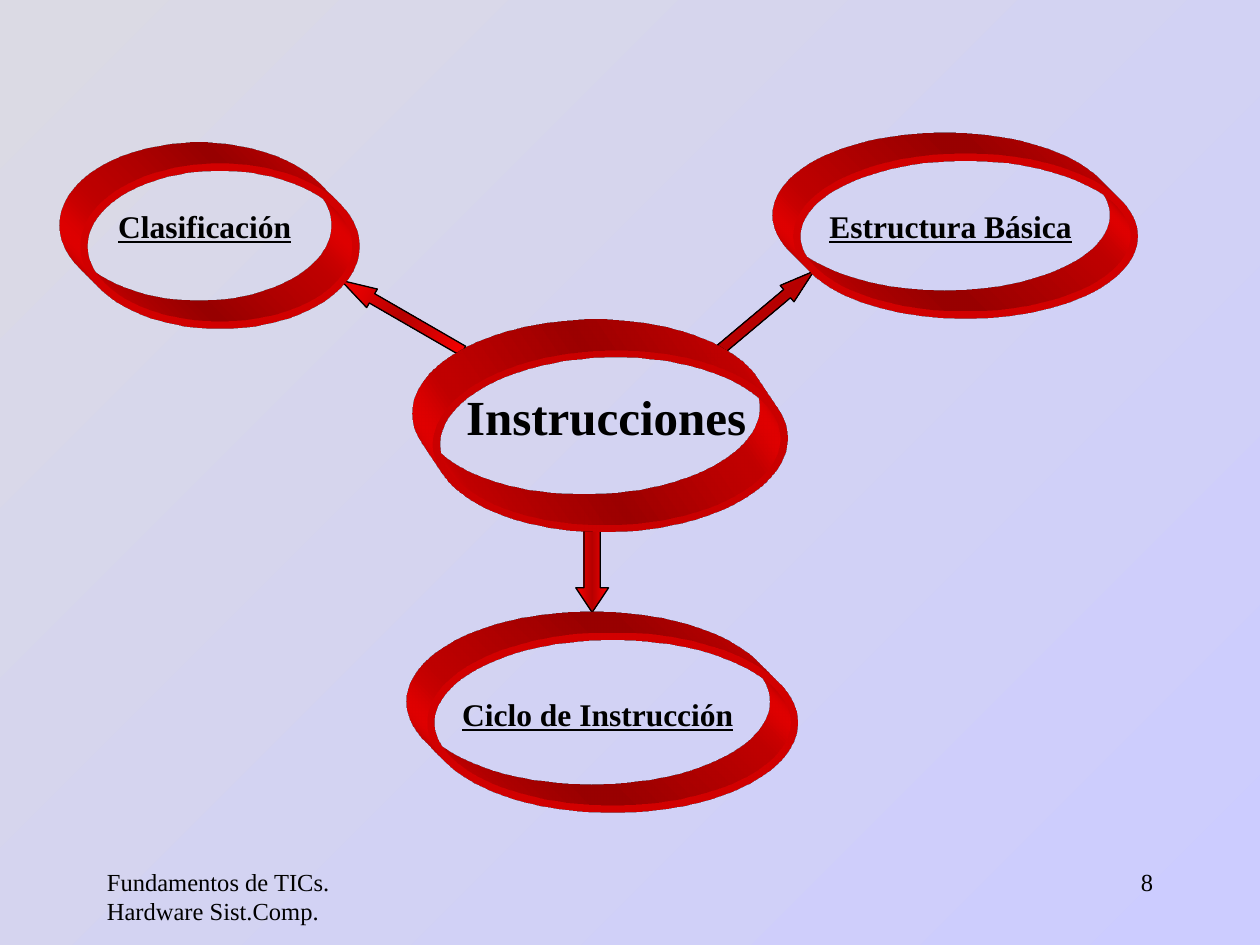
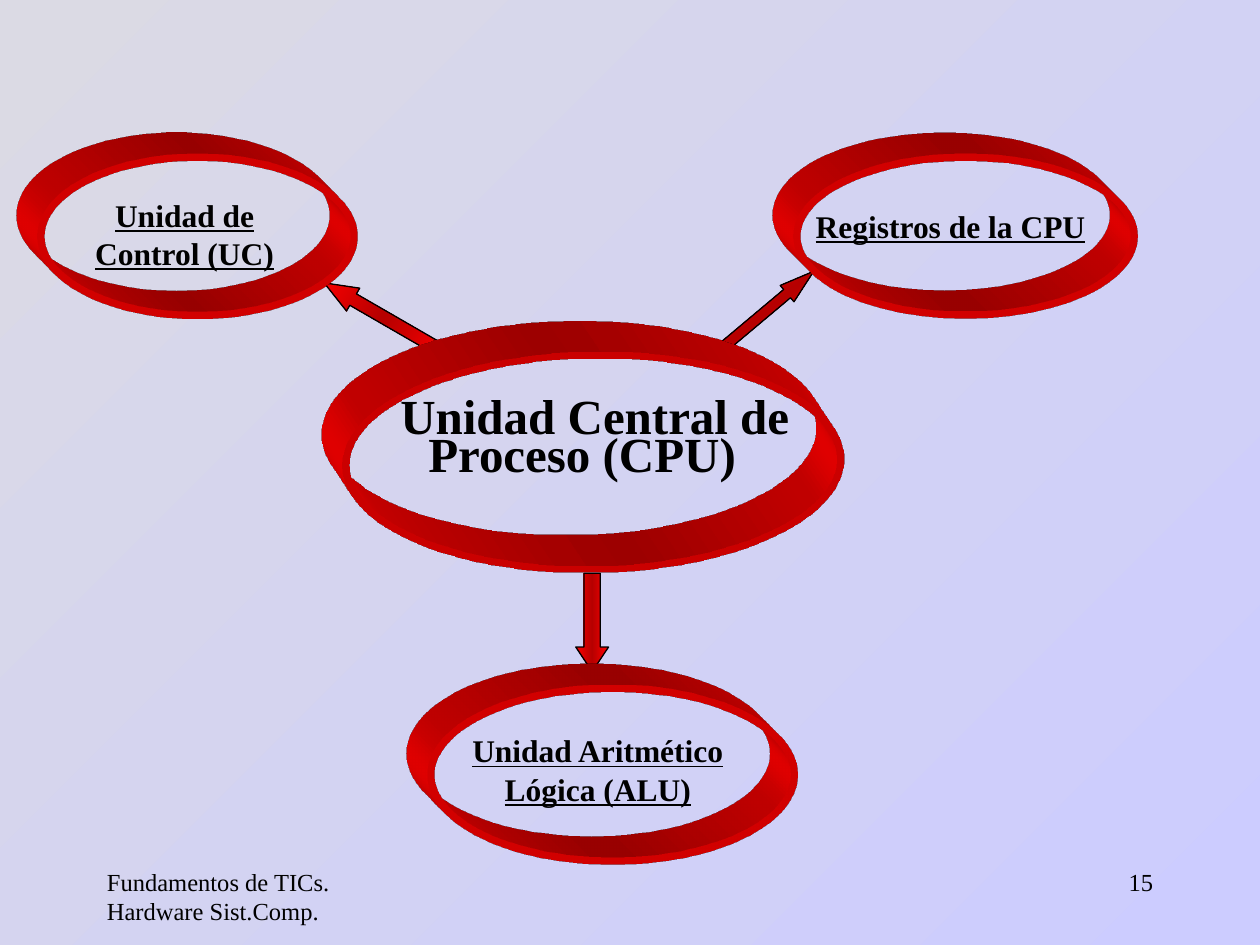
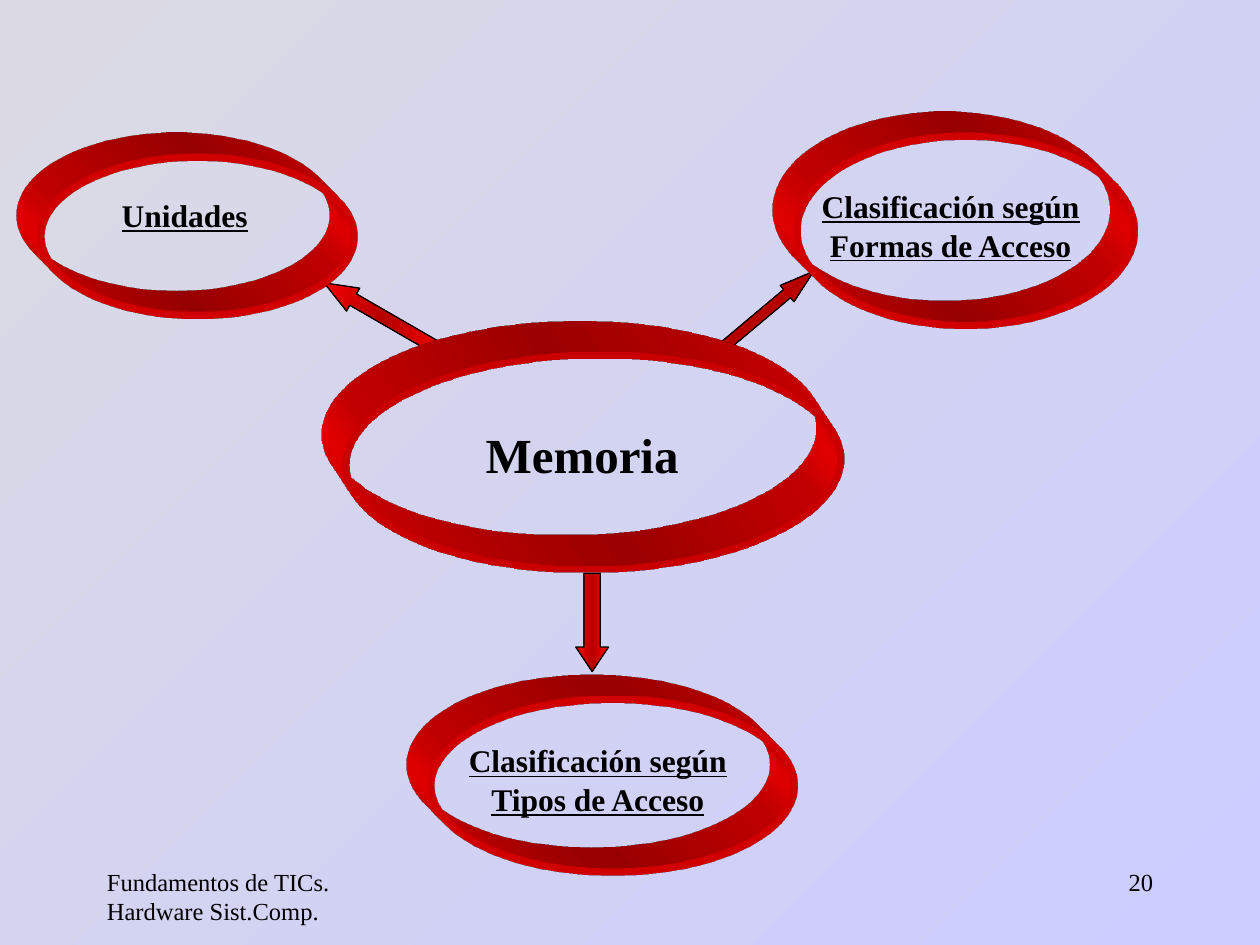
from copy import deepcopy
from dataclasses import dataclass

from lxml.etree import SubElement
from pptx import Presentation
from pptx.dml.color import RGBColor
from pptx.enum.shapes import MSO_SHAPE as Preset
from pptx.enum.text import PP_ALIGN as Align
from pptx.oxml.ns import qn
from pptx.util import Inches, Pt


@dataclass(frozen=True)
class Theme:
    font: str = "Times New Roman"
    ink: RGBColor = RGBColor(0, 0, 0)
    red: RGBColor = RGBColor(0xFF, 0, 0)
    dark_red: RGBColor = RGBColor(0xB6, 0, 0)
    sky_start: RGBColor = RGBColor(0xDB, 0xDA, 0xE4)
    sky_end: RGBColor = RGBColor(0xCC, 0xCC, 0xFF)
    footer_size: int = 14
    label_size: int = 18
    hub_size: int = 28
    leading: int = 22
    ring_line: float = 4.25
    arrow_line: float = 0.75


@dataclass(frozen=True)
class Area:
    left: float
    top: float
    width: float
    height: float

    def lengths(self) -> list:
        return [Inches(side) for side in (self.left, self.top, self.width, self.height)]


@dataclass(frozen=True)
class Ring:
    text: str
    oval: Area
    label: Area
    hub: bool = False
    indent: float = 0


@dataclass(frozen=True)
class Arrow:
    preset: Preset
    area: Area
    head: float
    angle: int = 0


@dataclass(frozen=True)
class Diagram:
    number: int
    arrows: list[Arrow]
    rings: list[Ring]


THEME = Theme()
FOOTER = "Fundamentos de TICs. Hardware Sist.Comp."
FOOTER_AREA = Area(0.75, 6.83, 2.08, 0.5)
NUMBER_AREA = Area(7.17, 6.83, 2.08, 0.5)
RING_DEPTH = 430200
HUB_TILT = 600000

LEFT_OVAL = Area(0.33, 1.25, 2.48, 1.25)
RIGHT_OVAL = Area(6.33, 1.25, 2.67, 1.25)
RIGHT_LABEL = Area(6.33, 1.59, 2.43, 0.41)
HUB_OVAL = Area(2.75, 2.75, 3.92, 1.84)

RIGHT_ARROW = Arrow(Preset.UP_ARROW, Area(5.96, 1.96, 0.17, 1.08), 1.625, 50)
LEFT_ARROW = Arrow(Preset.LEFT_ARROW, Area(2.5, 2.41, 1.08, 0.21), 1.268, 30)
SHORT_LEFT_ARROW = Arrow(Preset.LEFT_ARROW, Area(2.63, 2.42, 1.12, 0.17), 1.682, 30)


def down_arrow(top: float) -> Arrow:
    return Arrow(Preset.DOWN_ARROW, Area(4.57, top, 0.26, 0.78), 0.747)


def bottom_ring(text: str, top: float, label_top: float, label_height: float) -> Ring:
    return Ring(text, Area(3.42, top, 2.88, 1.37), Area(3.33, label_top, 2.83, label_height))


DIAGRAMS = [
    Diagram(8, [down_arrow(4.08), SHORT_LEFT_ARROW, RIGHT_ARROW], [
        bottom_ring("Ciclo de Instrucción", 5.05, 5.46, 0.41),
        Ring("Clasificación", Area(0.67, 1.33, 2.15, 1.25), Area(0.58, 1.59, 2.09, 0.41)),
        Ring("Estructura Básica", RIGHT_OVAL, RIGHT_LABEL),
        Ring("Instrucciones", Area(3.47, 2.75, 2.75, 1.5),
             Area(3.17, 3.18, 3.08, 0.41), hub=True, indent=0.2),
    ]),
    Diagram(15, [down_arrow(4.55), LEFT_ARROW, RIGHT_ARROW], [
        bottom_ring("Unidad Aritmético Lógica (ALU)", 5.46, 5.75, 0.71),
        Ring("Unidad de Control (UC)", LEFT_OVAL, Area(0.42, 1.5, 2.09, 0.71)),
        Ring("Registros de la CPU", RIGHT_OVAL, RIGHT_LABEL),
        Ring("Unidad Central de Proceso (CPU)", HUB_OVAL,
             Area(2.83, 3.17, 3.58, 0.71), hub=True, indent=0.2),
    ]),
    Diagram(20, [down_arrow(4.55), LEFT_ARROW, RIGHT_ARROW], [
        bottom_ring("Clasificación según Tipos de Acceso", 5.55, 5.83, 0.71),
        Ring("Unidades", LEFT_OVAL, Area(0.42, 1.5, 2.09, 0.41)),
        Ring("Clasificación según Formas de Acceso",
             Area(6.33, 1.08, 2.67, 1.5), Area(6.33, 1.43, 2.43, 0.71)),
        Ring("Memoria", HUB_OVAL, Area(2.83, 3.48, 3.58, 0.41), hub=True),
    ]),
]


def add_text(shapes, area: Area, text: str, *, size: int, align: Align = Align.LEFT,
             bold: bool = False, underline: bool = False,
             leading: int | None = None, indent: float = 0) -> None:
    frame = shapes.add_textbox(*area.lengths()).text_frame
    frame.word_wrap = True
    para = frame.paragraphs[0]
    para.alignment = align
    if leading:
        para.line_spacing = Pt(leading)
    if indent:
        para._p.get_or_add_pPr().set("indent", str(Inches(indent)))
    span = para.add_run()
    span.text = text
    span.font.name = THEME.font
    span.font.size = Pt(size)
    span.font.bold = bold
    span.font.underline = underline
    span.font.color.rgb = THEME.ink


def paint_gradient(fill, colours: list[RGBColor], angle: int) -> None:
    fill.gradient()
    fill.gradient_angle = angle
    for index, (stop, colour) in enumerate(zip(fill.gradient_stops, colours)):
        stop.position = index / (len(colours) - 1)
        stop.color.rgb = colour


def add_arrow(shapes, arrow: Arrow) -> None:
    shape = shapes.add_shape(arrow.preset, *arrow.area.lengths())
    shape.adjustments[0] = 0.5
    shape.adjustments[1] = arrow.head
    shape.rotation = arrow.angle
    shape.shadow.inherit = False
    paint_gradient(shape.fill, [THEME.red, THEME.dark_red], 0)
    stops = shape._element.spPr.find(qn("a:gradFill")).find(qn("a:gsLst"))
    stops.append(deepcopy(stops[0]))
    for stop, position in zip(shape.fill.gradient_stops, (0, 0.5, 1)):
        stop.position = position
    shape.line.color.rgb = THEME.ink
    shape.line.width = Pt(THEME.arrow_line)


def extrude(shape, tilt: int) -> None:
    properties = shape._element.spPr
    scene = SubElement(properties, qn("a:scene3d"))
    camera = SubElement(scene, qn("a:camera"), prst="legacyObliqueTopLeft")
    SubElement(camera, qn("a:rot"), lat=str(tilt), lon="0", rev="0")
    SubElement(scene, qn("a:lightRig"), rig="legacyFlat3", dir="b")
    solid = SubElement(properties, qn("a:sp3d"),
                       extrusionH=str(RING_DEPTH), prstMaterial="legacyMatte")
    colour = SubElement(solid, qn("a:extrusionClr"))
    SubElement(colour, qn("a:srgbClr"), val=str(THEME.red))


def add_ring(shapes, ring: Ring) -> None:
    group = shapes.add_group_shape()
    oval = group.shapes.add_shape(Preset.OVAL, *ring.oval.lengths())
    oval.fill.background()
    oval.line.color.rgb = THEME.red
    oval.line.width = Pt(THEME.ring_line)
    oval.shadow.inherit = False
    extrude(oval, HUB_TILT if ring.hub else 0)
    add_text(group.shapes, ring.label, ring.text,
             size=THEME.hub_size if ring.hub else THEME.label_size,
             align=Align.CENTER, bold=True, underline=not ring.hub,
             leading=THEME.leading, indent=ring.indent)


def add_diagram(deck, diagram: Diagram) -> None:
    page = deck.slides.add_slide(deck.slide_layouts[6])
    add_text(page.shapes, FOOTER_AREA, FOOTER, size=THEME.footer_size)
    add_text(page.shapes, NUMBER_AREA, str(diagram.number),
             size=THEME.footer_size, align=Align.RIGHT)
    for arrow in diagram.arrows:
        add_arrow(page.shapes, arrow)
    for ring in diagram.rings:
        add_ring(page.shapes, ring)


def main() -> None:
    deck = Presentation()
    deck.slide_width = Inches(10)
    deck.slide_height = Inches(7.5)
    paint_gradient(deck.slide_master.background.fill, [THEME.sky_start, THEME.sky_end], 315)
    for diagram in DIAGRAMS:
        add_diagram(deck, diagram)
    deck.save("out.pptx")


if __name__ == "__main__":
    main()
